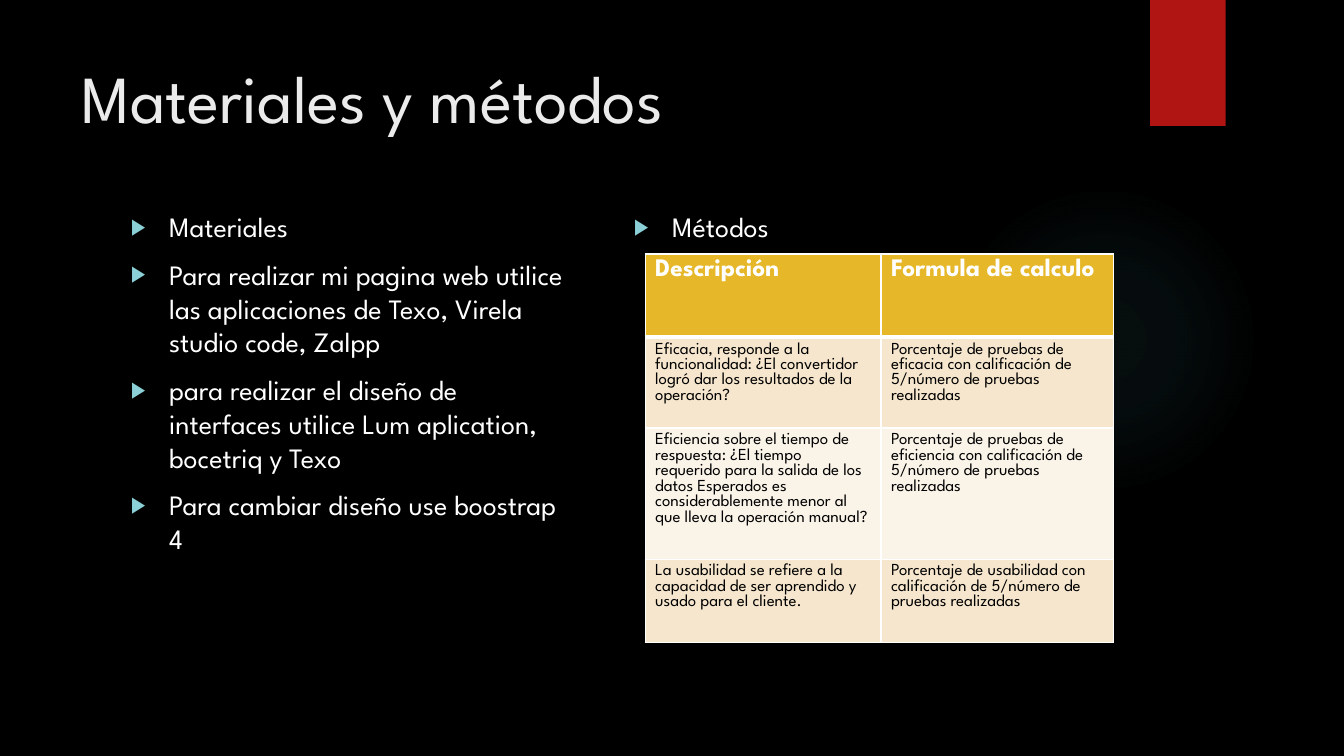
from dataclasses import dataclass

from lxml.etree import SubElement
from pptx import Presentation
from pptx.dml.color import RGBColor
from pptx.enum.shapes import MSO_SHAPE
from pptx.oxml.ns import qn
from pptx.util import Emu, Inches, Pt

FONT = "League Spartan"
COLUMNS, ROWS = 160, 90
UNIT = Inches(7.5) / ROWS
WHITE, BLACK, GOLD, TEAL = "FFFFFF", "000000", "E6B729", "50B9C1"
BANDS = ("F5E6CD", "FAF3E8")


@dataclass(frozen=True)
class Area:
    """A rectangle in grid columns and rows."""
    column: float
    row: float
    width: float
    height: float

    def lengths(self) -> tuple:
        return tuple(map(grid, (self.column, self.row, self.width, self.height)))


@dataclass(frozen=True)
class TextStyle:
    size: float
    color: str
    bold: bool = False
    line_points: float | None = None
    space_before: float = 0
    bulleted: bool = False


@dataclass(frozen=True)
class TextBlock:
    area: Area
    lines: tuple[str, ...]
    style: TextStyle


HEADING = TextStyle(48, "EBEBEB", line_points=58.2)
BODY = TextStyle(20, WHITE, line_points=24.1, space_before=10, bulleted=True)
TABLE_HEAD = TextStyle(18, WHITE, bold=True)
TABLE_BODY = TextStyle(12, BLACK)

BLOCKS = (
    TextBlock(Area(8.52, 6, 123.48, 18.36), ("Materiales y métodos",), HEADING),
    TextBlock(Area(14.4, 24.36, 54.12, 55.08), (
        "Materiales",
        "Para realizar mi pagina web utilice las aplicaciones de Texo, Virela studio code, Zalpp",
        "para realizar el diseño de interfaces utilice Lum aplication, bocetriq y Texo",
        "Para cambiar diseño use boostrap 4",
    ), BODY),
    TextBlock(Area(74.28, 24.36, 54.12, 55.08), ("Métodos",), BODY),
)

GLOW = Area(112.92, 21.96, 36.96, 36.96)
GLOW_STOPS = ((0, 7), (36, 6), (69, 0))
RED_TAB = Area(136.92, 0, 9, 15)

TABLE_COLUMNS = (28.08, 27.72)
TABLE_ROWS = (9.92, 9.92, 14.4, 9.92)
TABLE_AREA = Area(76.8, 30.24, sum(TABLE_COLUMNS), sum(TABLE_ROWS))
METHODS = (
    ("Descripción", "Formula de calculo"),
    ("Eficacia, responde a la funcionalidad: ¿El convertidor logró dar los "
     "resultados de la operación?",
     "Porcentaje de pruebas de eficacia con calificación de 5/número de pruebas realizadas"),
    ("Eficiencia sobre el tiempo de respuesta: ¿El tiempo requerido para la salida de los "
     "datos Esperados es considerablemente menor al que lleva la operación manual?",
     "Porcentaje de pruebas de eficiencia con calificación de 5/número de pruebas realizadas"),
    ("La usabilidad se refiere a la capacidad de ser aprendido y usado para el cliente.",
     "Porcentaje de usabilidad con calificación de 5/número de pruebas realizadas"),
)


def grid(units: float) -> Emu:
    return Emu(round(units * UNIT))


def paint(fill, color: str) -> None:
    fill.solid()
    fill.fore_color.rgb = RGBColor.from_string(color)


def add_color(parent, color: str):
    return SubElement(parent, qn("a:srgbClr"), val=color)


def add_bullet(paragraph) -> None:
    properties = paragraph._p.get_or_add_pPr()
    indent = Inches(0.38)
    properties.set("marL", str(indent))
    properties.set("indent", str(-indent))
    add_color(SubElement(properties, qn("a:buClr")), "8AD0D6")
    SubElement(properties, qn("a:buSzPct"), val="80000")
    SubElement(properties, qn("a:buFont"), typeface="Arial")
    SubElement(properties, qn("a:buChar"), char="▶")


def write(frame, lines: tuple[str, ...], style: TextStyle) -> None:
    frame.word_wrap = True
    frame.text = "\n".join(lines)
    for paragraph in frame.paragraphs:
        if style.line_points:
            paragraph.line_spacing = Pt(style.line_points)
            paragraph.space_before = Pt(style.space_before)
        if style.bulleted:
            add_bullet(paragraph)
        for run in paragraph.runs:
            run.font.name = FONT
            run.font.size = Pt(style.size)
            run.font.bold = style.bold
            run.font.color.rgb = RGBColor.from_string(style.color)


def add_plain_shape(slide, kind: MSO_SHAPE, area: Area, color: str):
    shape = slide.shapes.add_shape(kind, *area.lengths())
    shape.shadow.inherit = False
    shape.line.fill.background()
    paint(shape.fill, color)
    return shape


def add_glow(slide) -> None:
    """Draw the radial glow that fades towards its rim."""
    glow = add_plain_shape(slide, MSO_SHAPE.OVAL, GLOW, TEAL)
    solid = glow._element.spPr.find(qn("a:solidFill"))
    gradient = solid.makeelement(qn("a:gradFill"), {"rotWithShape": "1"})
    stops = SubElement(gradient, qn("a:gsLst"))
    for position, opacity in GLOW_STOPS:
        stop = SubElement(stops, qn("a:gs"), pos=str(position * 1000))
        SubElement(add_color(stop, TEAL), qn("a:alpha"), val=str(opacity * 1000))
    circle = SubElement(gradient, qn("a:path"), path="circle")
    SubElement(circle, qn("a:fillToRect"), dict.fromkeys("ltrb", "50000"))
    solid.getparent().replace(solid, gradient)


def add_borders(cell, top: float, bottom: float) -> None:
    properties = cell._tc.get_or_add_tcPr()
    widths = {"a:lnL": 1, "a:lnR": 1, "a:lnT": top, "a:lnB": bottom}
    for position, (side, width) in enumerate(widths.items()):
        border = properties.makeelement(qn(side), {"w": str(Pt(width))})
        add_color(SubElement(border, qn("a:solidFill")), WHITE)
        properties.insert(position, border)


def add_methods_table(slide) -> None:
    table = slide.shapes.add_table(
        len(TABLE_ROWS), len(TABLE_COLUMNS), *TABLE_AREA.lengths()).table
    for column, width in zip(table.columns, TABLE_COLUMNS):
        column.width = grid(width)
    for index, (row, height, texts) in enumerate(zip(table.rows, TABLE_ROWS, METHODS)):
        row.height = grid(height)
        is_head = index == 0
        for cell, text in zip(row.cells, texts):
            write(cell.text_frame, (text,), TABLE_HEAD if is_head else TABLE_BODY)
            paint(cell.fill, GOLD if is_head else BANDS[(index - 1) % 2])
            add_borders(cell, top=3 if index == 1 else 1, bottom=3 if is_head else 1)


def main() -> None:
    presentation = Presentation()
    presentation.slide_width = grid(COLUMNS)
    presentation.slide_height = grid(ROWS)
    slide = presentation.slides.add_slide(presentation.slide_layouts[6])
    paint(slide.background.fill, BLACK)
    add_glow(slide)
    add_plain_shape(slide, MSO_SHAPE.RECTANGLE, RED_TAB, "B01513")
    for block in BLOCKS:
        textbox = slide.shapes.add_textbox(*block.area.lengths())
        write(textbox.text_frame, block.lines, block.style)
    add_methods_table(slide)
    presentation.save("out.pptx")


if __name__ == "__main__":
    main()
